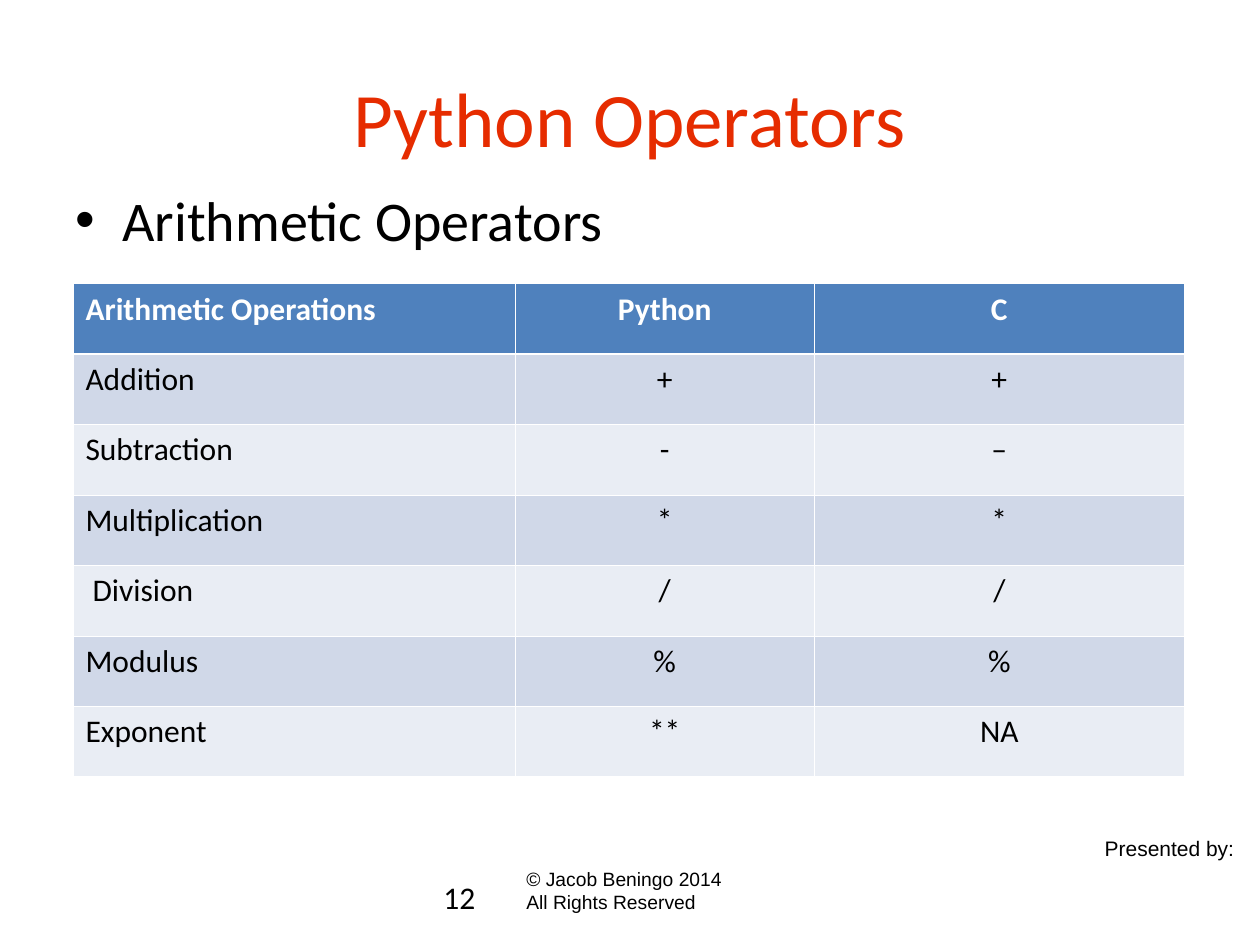
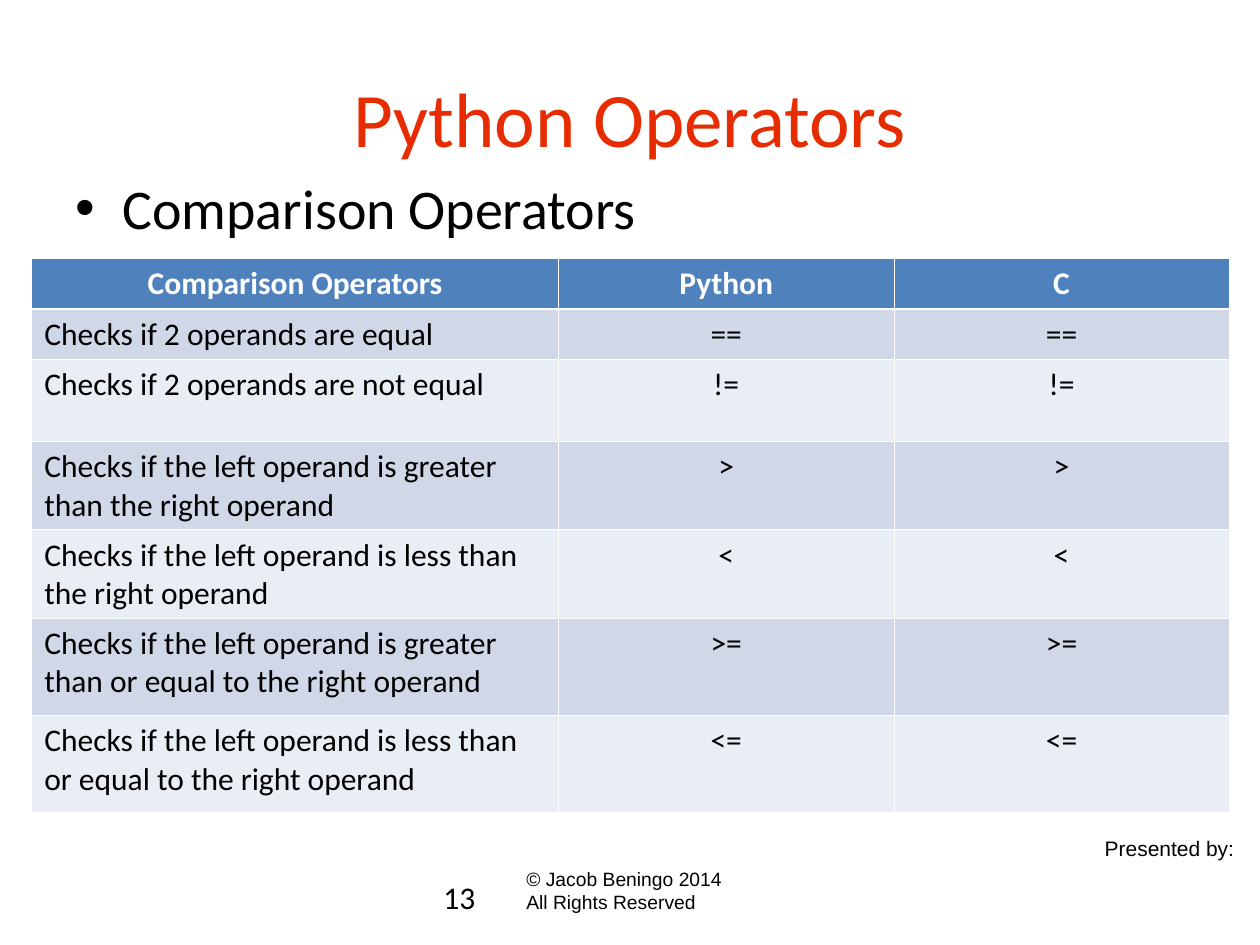
from lxml.etree import SubElement
from pptx import Presentation
from pptx.dml.color import RGBColor
from pptx.enum.text import MSO_ANCHOR as Anchor, PP_ALIGN as Align
from pptx.oxml.ns import qn
from pptx.util import Cm, Pt

# Colours
TITLE_RED = RGBColor(0xE6, 0x2C, 0x00)
BLACK = RGBColor(0x00, 0x00, 0x00)
WHITE = RGBColor(0xFF, 0xFF, 0xFF)
HEADER_BLUE = RGBColor(0x4F, 0x81, 0xBD)
BANDS = (RGBColor(0xE9, 0xED, 0xF4), RGBColor(0xD0, 0xD8, 0xE8))

# Text formats
TITLE = {"name": "Calibri", "size": Pt(44)}
TOPIC = {"name": "Calibri", "size": Pt(32)}
NUMBER = {"name": "Calibri", "size": Pt(18)}
PRESENTER = {"name": "Arial", "size": Pt(12)}
COPYRIGHT = {"name": "Arial", "size": Pt(11)}
HEADER_CELL = {"name": "Calibri", "size": Pt(18), "bold": True}
BODY_CELL = {"name": "Calibri", "size": Pt(18), "bold": False}

THIN, THICK = Pt(0.45), Pt(1.47)

# Content: each table has a header row, then one row for each operation
ARITHMETIC = [
    ("Arithmetic Operations", "Python", "C"),
    ("Addition", "+", "+"),
    ("Subtraction", "-", "–"),
    ("Multiplication", "*", "*"),
    (" Division", "/", "/"),
    ("Modulus", "%", "%"),
    ("Exponent", "**", "NA"),
]
COMPARISON = [
    ("Comparison Operators", "Python", "C"),
    ("Checks if 2 operands are equal", "==", "=="),
    ("Checks if 2 operands are not equal", "!=", "!="),
    ("Checks if the left operand is greater than the right operand", ">", ">"),
    ("Checks if the left operand is less than the right operand", "<", "<"),
    ("Checks if the left operand is greater than or equal to the right operand",
     ">=", ">="),
    ("Checks if the left operand is less than or equal to the right operand",
     "<=", "<="),
]


def format_paragraph(paragraph, text_format, color, align=Align.LEFT):
    paragraph.alignment = align
    for attribute, value in text_format.items():
        setattr(paragraph.font, attribute, value)
    paragraph.font.color.rgb = color


def add_bullet(paragraph):
    properties = paragraph._p.get_or_add_pPr()
    properties.set("marL", str(Cm(0.95)))
    properties.set("indent", str(-Cm(0.95)))
    SubElement(properties, qn("a:buFont"), typeface="Arial")
    SubElement(properties, qn("a:buChar"), char="•")


def add_text(slide, box, lines, text_format, color=BLACK, align=Align.LEFT,
             anchor=Anchor.TOP, bullet=False):
    frame = slide.shapes.add_textbox(*map(Cm, box)).text_frame
    frame.word_wrap = True
    frame.vertical_anchor = anchor
    frame.text = "\n".join(lines)
    for paragraph in frame.paragraphs:
        if bullet:
            add_bullet(paragraph)
        format_paragraph(paragraph, text_format, color, align)


def set_borders(cell, top, bottom):
    properties = cell._tc.get_or_add_tcPr()
    for side, width in {"L": THIN, "R": THIN, "T": top, "B": bottom}.items():
        line = SubElement(properties, qn(f"a:ln{side}"), w=str(width))
        fill = SubElement(line, qn("a:solidFill"))
        SubElement(fill, qn("a:srgbClr"), val=str(WHITE))


def add_operator_table(slide, left, top, widths, heights, rows, header_align):
    table = slide.shapes.add_table(
        len(rows), len(widths), Cm(left), Cm(top),
        Cm(sum(widths)), Cm(sum(heights))).table
    for column, width in zip(table.columns, widths):
        column.width = Cm(width)
    for r, (values, height) in enumerate(zip(rows, heights)):
        table.rows[r].height = Cm(height)
        is_header = r == 0
        for c, value in enumerate(values):
            cell = table.cell(r, c)
            set_borders(cell, THICK if r == 1 else THIN,
                        THICK if is_header else THIN)
            cell.fill.solid()
            cell.fill.fore_color.rgb = HEADER_BLUE if is_header else BANDS[r % 2]
            cell.text = value
            first_align = header_align if is_header else Align.LEFT
            format_paragraph(cell.text_frame.paragraphs[0],
                             HEADER_CELL if is_header else BODY_CELL,
                             WHITE if is_header else BLACK,
                             Align.CENTER if c else first_align)


def add_operator_slide(deck, number, topic, topic_top):
    slide = deck.slides.add_slide(deck.slide_layouts[6])
    # Footer
    add_text(slide, (22.02, 16.71, 3.18, 0.76), ["Presented by:"], PRESENTER)
    add_text(slide, (10.36, 17.35, 4.65, 1.65),
             ["© Jacob Beningo 2014", "All Rights Reserved"], COPYRIGHT)
    add_text(slide, (8.69, 17.58, 5.92, 1.02), [str(number)], NUMBER)
    # Title and topic
    add_text(slide, (1.27, 0.76, 22.86, 3.18), ["Python Operators"], TITLE,
             TITLE_RED, Align.CENTER, Anchor.MIDDLE)
    add_text(slide, (1.27, topic_top, 22.86, 12.57), [topic], TOPIC, bullet=True)
    return slide


def main():
    deck = Presentation()
    deck.slide_width, deck.slide_height = Cm(25.4), Cm(19.05)

    # Arithmetic operators
    slide = add_operator_slide(deck, 12, "Arithmetic Operators", 3.61)
    add_operator_table(slide, 1.47, 5.72, (8.92, 6.02, 7.47),
                       [1.42] * len(ARITHMETIC), ARITHMETIC, Align.LEFT)

    # Comparison operators
    slide = add_operator_slide(deck, 13, "Comparison Operators", 3.38)
    add_operator_table(slide, 0.64, 5.21, (10.62, 6.76, 6.76),
                       (1.02, 1.02, 1.65, 1.78, 1.78, 1.96, 1.96),
                       COMPARISON, Align.CENTER)

    deck.save("out.pptx")


if __name__ == "__main__":
    main()
